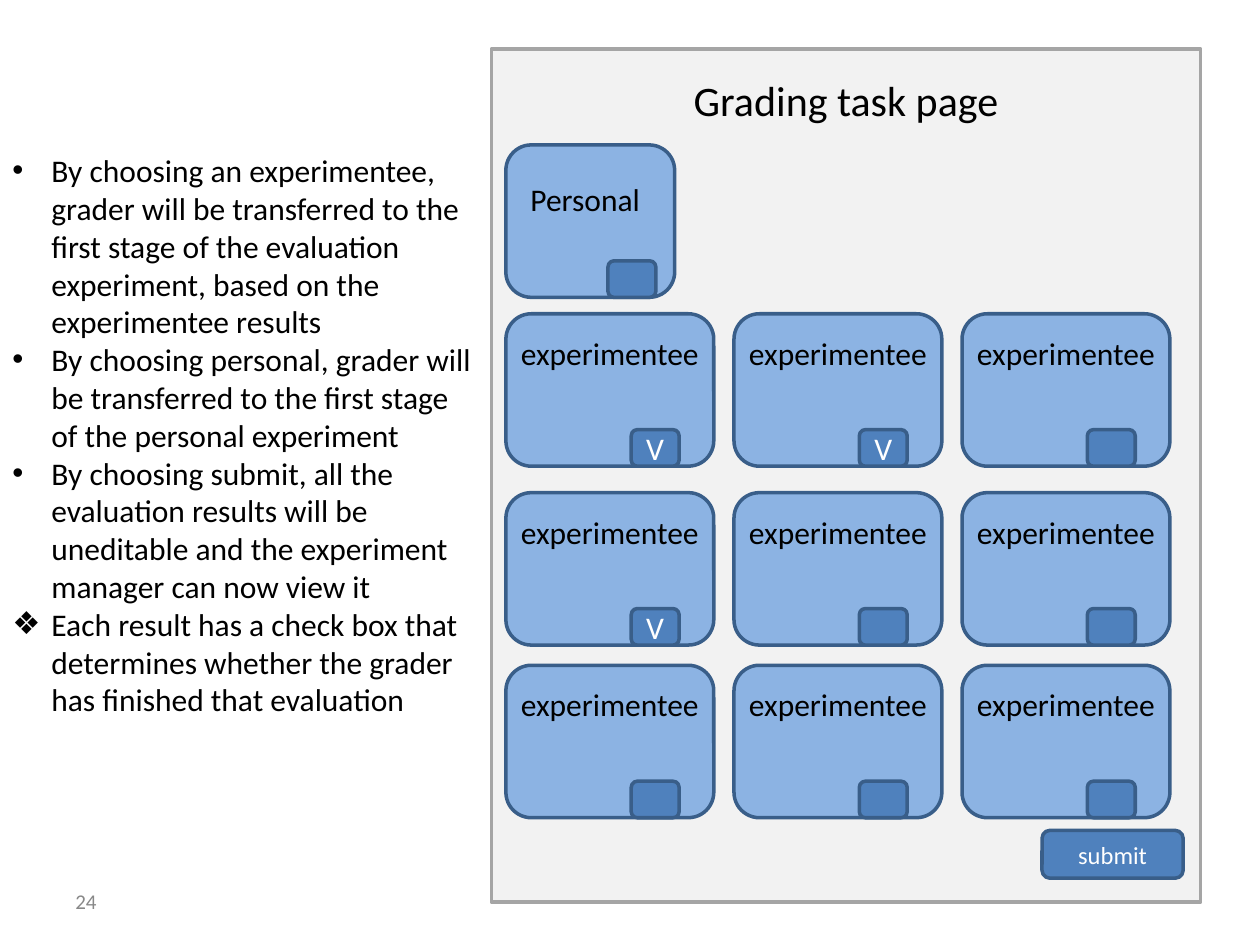
from lxml.etree import SubElement
from pptx import Presentation
from pptx.dml.color import RGBColor
from pptx.enum.shapes import MSO_SHAPE
from pptx.enum.text import MSO_ANCHOR, PP_ALIGN
from pptx.oxml.ns import qn
from pptx.util import Inches, Pt

BLACK = RGBColor(0x00, 0x00, 0x00)
WHITE = RGBColor(0xFF, 0xFF, 0xFF)
GREY = RGBColor(0x88, 0x88, 0x88)
PAGE_FILL = RGBColor(0xF2, 0xF2, 0xF2)
PAGE_LINE = RGBColor(0xA5, 0xA5, 0xA5)
CARD_FILL = RGBColor(0x8C, 0xB3, 0xE3)
BUTTON_FILL = RGBColor(0x4F, 0x81, 0xBD)
BLUE_LINE = RGBColor(0x39, 0x5E, 0x89)

# The slide is a grid of 100 columns by 75 rows
COLUMNS, ROWS = 100, 75
CARD_HEIGHT = 12.1
CHECK_WIDTH, CHECK_HEIGHT = 3.8, 2.9

NOTES = [
    ("•", "By choosing an experimentee, grader will be transferred to the first stage "
          "of the evaluation experiment, based on the experimentee results"),
    ("•", "By choosing personal, grader will be transferred to the first stage "
          "of the personal experiment"),
    ("•", "By choosing submit, all the evaluation results will be uneditable "
          "and the experiment manager can now view it"),
    ("❖", "Each result has a check box that determines whether the grader "
          "has finished that evaluation"),
]

# Top row of each line of cards, with the marks in its check boxes
EXPERIMENTEES = [(24.9, ["V", "V", ""]), (39.1, ["V", "", ""]), (52.8, ["", "", ""])]
CARD_LEFT, CARD_STEP = 40.15, 18.1


class Board:
    """Holds the style and the current slide; lengths are grid columns and rows."""

    font = "Calibri"
    line_width = Pt(2)

    def __init__(self, deck):
        self.slide = deck.slides.add_slide(deck.slide_layouts[6])
        self.column = deck.slide_width / COLUMNS
        self.row = deck.slide_height / ROWS

    def place(self, left, top, width, height):
        return (round(left * self.column), round(top * self.row),
                round(width * self.column), round(height * self.row))

    def add_words(self, paragraph, words, size, color, align):
        paragraph.alignment = align
        run = paragraph.add_run()
        run.text = words
        run.font.name = self.font
        run.font.size = Pt(size)
        run.font.color.rgb = color

    def box(self, area, fill, line, kind=MSO_SHAPE.ROUNDED_RECTANGLE,
            words="", size=18, parent=None):
        shape = (parent or self.slide).shapes.add_shape(kind, *self.place(*area))
        shape.shadow.inherit = False
        shape.fill.solid()
        shape.fill.fore_color.rgb = fill
        shape.line.color.rgb = line
        shape.line.width = self.line_width
        if words:
            shape.text_frame.vertical_anchor = MSO_ANCHOR.MIDDLE
            self.add_words(shape.text_frame.paragraphs[0], words, size, WHITE,
                           PP_ALIGN.CENTER)

    def text_frame(self, area, parent=None):
        frame = (parent or self.slide).shapes.add_textbox(*self.place(*area)).text_frame
        frame.word_wrap = True
        return frame

    def label(self, area, words, size=18, color=BLACK, align=PP_ALIGN.CENTER,
              anchor=MSO_ANCHOR.TOP, parent=None):
        frame = self.text_frame(area, parent)
        frame.vertical_anchor = anchor
        self.add_words(frame.paragraphs[0], words, size, color, align)

    def bullets(self, area, items, size=18, indent=Inches(0.31)):
        frame = self.text_frame(area)
        for index, (mark, words) in enumerate(items):
            paragraph = frame.add_paragraph() if index else frame.paragraphs[0]
            self.add_words(paragraph, words, size, BLACK, PP_ALIGN.LEFT)
            properties = paragraph._p.get_or_add_pPr()
            properties.set("marL", str(indent))
            properties.set("indent", str(-indent))
            SubElement(properties, qn("a:buFont")).set("typeface", "Arial")
            SubElement(properties, qn("a:buChar")).set("char", mark)

    def card(self, left, top, width, name, name_area, check_left, mark=""):
        """A card with its name and a check box on the bottom edge."""
        group = self.slide.shapes.add_group_shape()
        self.box((left, top, width, CARD_HEIGHT), CARD_FILL, BLUE_LINE, parent=group)
        name_left, name_top, name_width, name_height = name_area
        self.label((left + name_left, top + name_top, name_width, name_height),
                   name, parent=group)
        self.box((left + check_left, top + CARD_HEIGHT - CHECK_HEIGHT,
                  CHECK_WIDTH, CHECK_HEIGHT),
                 BUTTON_FILL, BLUE_LINE, words=mark, parent=group)


def main():
    deck = Presentation()
    deck.slide_width, deck.slide_height = Inches(10), Inches(7.5)
    board = Board(deck)

    # Page panel and title
    board.box((39, 3.9, 56.3, 67.7), PAGE_FILL, PAGE_LINE, MSO_SHAPE.RECTANGLE)
    board.label((39, 5.4, 56.3, 5), "Grading task page", size=24)

    # Explanations and slide number
    board.bullets((0, 11.5, 39, 52.5), NOTES)
    board.label((5, 69.5, 23.3, 4), "24", 12, GREY, PP_ALIGN.LEFT, MSO_ANCHOR.MIDDLE)

    # Experimentee cards
    for top, marks in EXPERIMENTEES:
        for index, mark in enumerate(marks):
            board.card(CARD_LEFT + index * CARD_STEP, top, 16.5, "experimentee",
                       (0, 1.1, 16.5, 7.1), 9.95, mark)

    # Personal card and submit button
    board.card(CARD_LEFT, 11.5, 13.4, "Personal", (0.8, 2.3, 11, 4), 8.1)
    board.box((82.7, 65.9, 11.2, 3.8), BUTTON_FILL, BLUE_LINE, words="submit", size=14)

    deck.save("out.pptx")


if __name__ == "__main__":
    main()
